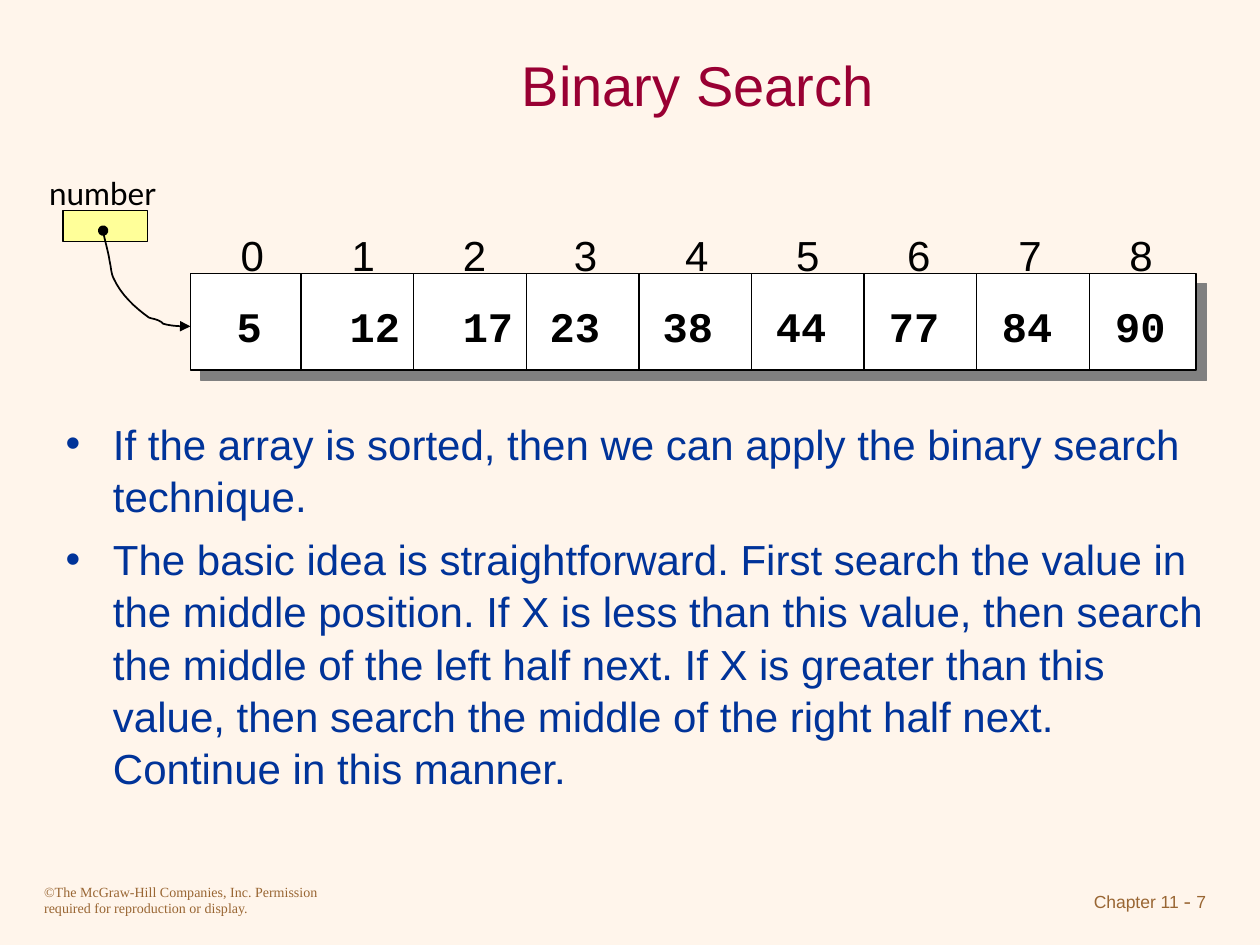
"""Build the Binary Search slide with its sorted array and explanation."""
import pptx
import pptx.dml.color
import pptx.enum.shapes
import pptx.enum.text
import pptx.oxml
import pptx.util
from pptx.util import Cm

COLORS = {
    "background": "FFF5EB", "title": "990033", "body": "003399", "footer": "996633",
    "ink": "000000", "cell": "FFFFFF", "variable": "FFFF99", "shadow": "808080",
}
NAMESPACE = 'xmlns:a="http://schemas.openxmlformats.org/drawingml/2006/main"'


def style_font(font, name, size, color, bold=False):
    font.name = name
    font.size = pptx.util.Pt(size)
    font.bold = bold
    font.color.rgb = pptx.dml.color.RGBColor.from_string(COLORS[color])


def add_label(page, text, left, top, width, height, name, size, color="ink", bold=False, wrap=False):
    box = page.shapes.add_textbox(Cm(left), Cm(top), Cm(width), Cm(height))
    box.text_frame.word_wrap = wrap
    box.text_frame.text = text
    style_font(box.text_frame.paragraphs[0].runs[0].font, name, size, color, bold)
    return box


deck = pptx.Presentation()
deck.slide_width, deck.slide_height = Cm(25.4), Cm(19.05)
page = deck.slides.add_slide(deck.slide_layouts[1])
page.background.fill.solid()
page.background.fill.fore_color.rgb = pptx.dml.color.RGBColor.from_string(COLORS["background"])
ink = pptx.dml.color.RGBColor.from_string(COLORS["ink"])

title, body = page.shapes.title, page.placeholders[1]
title.left, title.top, title.width, title.height = Cm(3.81), Cm(0.64), Cm(20.52), Cm(2.11)
title.text_frame.text = "Binary Search"
title.text_frame.vertical_anchor = pptx.enum.text.MSO_ANCHOR.MIDDLE
title.text_frame.paragraphs[0].alignment = pptx.enum.text.PP_ALIGN.CENTER
style_font(title.text_frame.paragraphs[0].runs[0].font, "Arial", 32, "title")

body.left, body.top, body.width, body.height = Cm(1.07), Cm(8.26), Cm(23.7), Cm(8.26)
body.text_frame.text = (
    "If the array is sorted, then we can apply the binary search technique.\n"
    "The basic idea is straightforward. First search the value in the middle position. "
    "If X is less than this value, then search the middle of the left half next. "
    "If X is greater than this value, then search the middle of the right half next. "
    "Continue in this manner."
)
body.text_frame.auto_size = pptx.enum.text.MSO_AUTO_SIZE.NONE
for index, para in enumerate(body.text_frame.paragraphs):
    para.space_before = pptx.util.Pt(6 if index else 0)
    para.line_spacing = 1.04
    style_font(para.runs[0].font, "Arial", 24, "body")

add_label(page, "©The McGraw-Hill Companies, Inc. Permission required for reproduction or display.",
          0.64, 17.68, 6.35, 0.95, "Times New Roman", 8, "footer", wrap=True)
chapter = add_label(page, "Chapter 11", 19.05, 17.76, 5.51, 0.85, "Arial", 10, "footer", wrap=True)
para = chapter.text_frame.paragraphs[0]
para.alignment = pptx.enum.text.PP_ALIGN.RIGHT
for text, name, size in ((" - ", "Times New Roman", 12), ("7", "Arial", 10)):
    span = para.add_run()
    span.text = text
    style_font(span.font, name, size, "footer")

add_label(page, "number", 0.74, 3.38, 2.9, 1.02, "Lato", 18)

rectangles = {}
for name, left, top, width, height in (
    ("cell", 3.84, 5.51, 20.27, 1.95),
    ("variable", 1.27, 4.24, 1.7, 0.63),
):
    box = page.shapes.add_shape(pptx.enum.shapes.MSO_SHAPE.RECTANGLE, Cm(left), Cm(top), Cm(width), Cm(height))
    box.shadow.inherit = False
    box.fill.solid()
    box.fill.fore_color.rgb = pptx.dml.color.RGBColor.from_string(COLORS[name])
    box.line.color.rgb = ink
    box.line.width = pptx.util.Pt(0.75)
    rectangles[name] = box

effects = rectangles["cell"].element.spPr.find(pptx.oxml.ns.qn("a:effectLst"))
effects.append(pptx.oxml.parse_xml(
    f'<a:outerShdw {NAMESPACE} blurRad="0" dist="{pptx.util.Pt(8.5)}" dir="2700000" algn="ctr" rotWithShape="0">'
    f'<a:srgbClr val="{COLORS["shadow"]}"/></a:outerShdw>'
))

for index in range(8):
    x = Cm(6.07 + 2.27 * index)
    divider = page.shapes.add_connector(pptx.enum.shapes.MSO_CONNECTOR.STRAIGHT, x, Cm(5.51), x, Cm(7.45))
    divider.line.color.rgb = ink
    divider.line.width = pptx.util.Pt(0.75)
    divider.element.spPr.append(pptx.oxml.parse_xml(f"<a:effectLst {NAMESPACE}/>"))

for index, value in enumerate((5, 12, 17, 23, 38, 44, 77, 84, 90)):
    add_label(page, str(index), 4.6 + 2.24 * index, 4.5, 0.97, 1.27, "Arial", 24)
    shift = 0.53 if index >= 3 else 0
    add_label(page, str(value), 4.52 + 2.28 * index - shift, 5.94,
              1.02 if value < 10 else 1.52, 1.27, "Courier New", 24, bold=True)

start = (2.08, 4.65)
curves = (
    ((2.11, 4.85), (2.18, 5.05), (2.21, 5.26)),
    ((2.24, 5.38), (2.24, 5.51), (2.29, 5.61)),
    ((2.44, 5.94), (2.72, 6.2), (3.0, 6.4)),
    ((3.07, 6.43), (3.15, 6.43), (3.23, 6.48)),
    ((3.25, 6.48), (3.28, 6.53), (3.3, 6.53)),
    ((3.48, 6.58), (3.66, 6.58), (3.84, 6.58)),
)
builder = page.shapes.build_freeform(Cm(start[0]), Cm(start[1]))
points = []
for first, second, end in curves:
    for step in range(1, 9):
        t = step / 8
        points.append(tuple(
            Cm((1 - t) ** 3 * a + 3 * (1 - t) ** 2 * t * b + 3 * (1 - t) * t ** 2 * c + t ** 3 * d)
            for a, b, c, d in zip(start, first, second, end)
        ))
    start = end
builder.add_line_segments(points, close=False)
pointer = builder.convert_to_shape()
pointer.shadow.inherit = False
pointer.fill.background()
pointer.line.color.rgb = ink
pointer.line.width = pptx.util.Pt(1)
outline = pointer.element.spPr.find(pptx.oxml.ns.qn("a:ln"))
for tag, kind in (("headEnd", "oval"), ("tailEnd", "triangle")):
    outline.append(pptx.oxml.parse_xml(f'<a:{tag} {NAMESPACE} type="{kind}"/>'))

deck.save("out.pptx")
